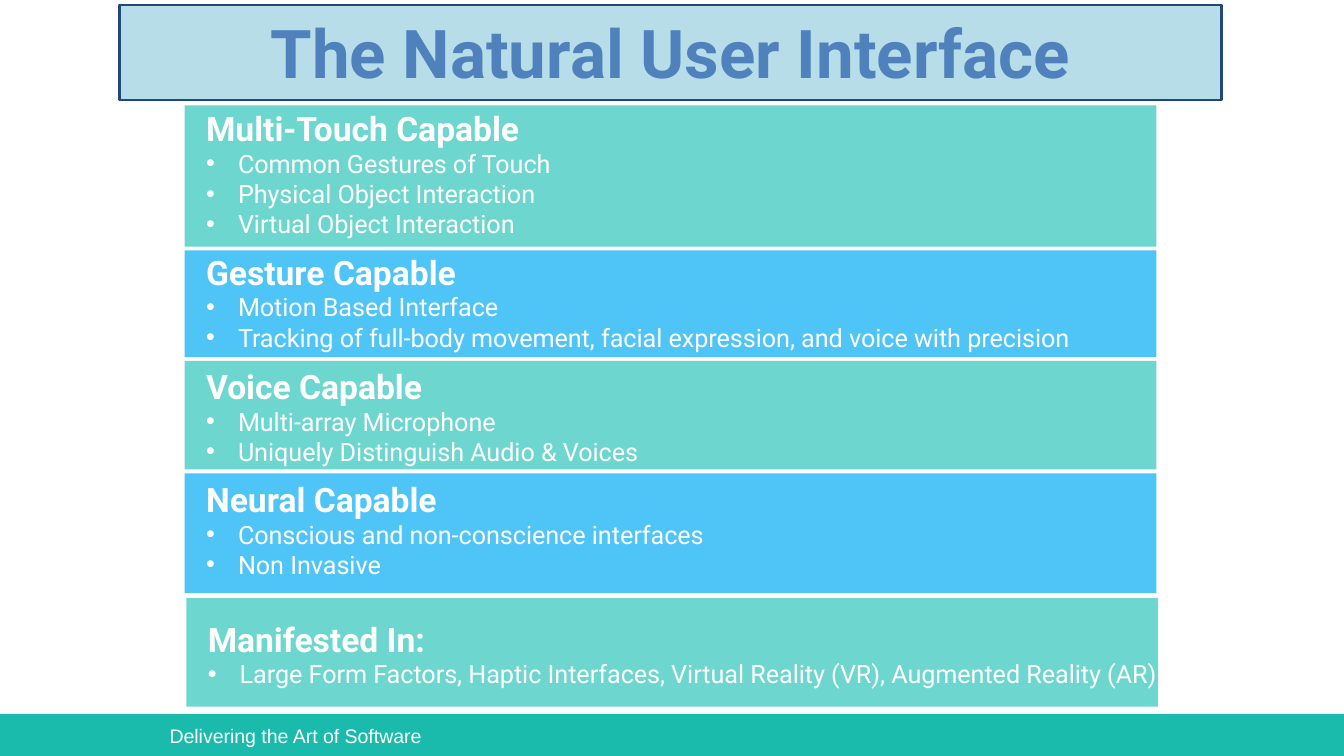
from dataclasses import dataclass
from itertools import cycle

import pptx
import pptx.dml.color
import pptx.enum.shapes
import pptx.enum.text
import pptx.oxml.ns
import pptx.util
from lxml import etree

Pt = pptx.util.Pt
Anchor = pptx.enum.text.MSO_ANCHOR
Align = pptx.enum.text.PP_ALIGN

WHITE, TEAL, SKY, FOOTER_GREEN = "FFFFFF", "6DD7CF", "4FC4F6", "1ABBAD"
INDENT = 17.1


@dataclass
class Capability:
    heading: str
    points: list[str]
    top: float
    height: float
    text_top: float
    text_height: float
    shift: float = 0


def colour(value: str) -> pptx.dml.color.RGBColor:
    return pptx.dml.color.RGBColor.from_string(value)


def add_panel(slide, left: float, top: float, width: float, height: float,
              fill: str, line: str | None = None):
    panel = slide.shapes.add_shape(pptx.enum.shapes.MSO_SHAPE.RECTANGLE,
                                   Pt(left), Pt(top), Pt(width), Pt(height))
    panel.shadow.inherit = False
    panel.fill.solid()
    panel.fill.fore_color.rgb = colour(fill)
    if line:
        panel.line.color.rgb = colour(line)
        panel.line.width = Pt(1.5)
    else:
        panel.line.fill.background()
    return panel


def set_frame(frame, anchor, side: float, end: float) -> None:
    frame.word_wrap = True
    frame.vertical_anchor = anchor
    frame.margin_left = frame.margin_right = Pt(side)
    frame.margin_top = frame.margin_bottom = Pt(end)


def add_bullet(paragraph) -> None:
    properties = paragraph._p.get_or_add_pPr()
    properties.set("marL", str(Pt(INDENT)))
    properties.set("indent", str(-Pt(INDENT)))
    bullet_colour = etree.SubElement(properties, pptx.oxml.ns.qn("a:buClr"))
    etree.SubElement(bullet_colour, pptx.oxml.ns.qn("a:srgbClr"), val=WHITE)
    etree.SubElement(properties, pptx.oxml.ns.qn("a:buFont"), typeface="Arial")
    etree.SubElement(properties, pptx.oxml.ns.qn("a:buChar"), char="•")


def write(paragraph, text: str, *, size: float, font: str = "Roboto",
          color: str = WHITE, bold: bool = False, bullet: bool = False,
          align=Align.LEFT) -> None:
    paragraph.alignment = align
    if bullet:
        add_bullet(paragraph)
    run = paragraph.add_run()
    run.text = text
    run.font.size = Pt(size)
    run.font.name = font
    run.font.bold = bold
    run.font.color.rgb = colour(color)


def add_capability(slide, capability: Capability, fill: str) -> None:
    add_panel(slide, 98.9 + capability.shift, capability.top, 520.6,
              capability.height, fill)
    details = slide.shapes.add_textbox(
        Pt(108.2 + capability.shift), Pt(capability.text_top),
        Pt(517), Pt(capability.text_height)).text_frame
    set_frame(details, Anchor.MIDDLE, 2.2, 2.2)
    write(details.paragraphs[0], capability.heading, size=18, bold=True)
    for point in capability.points:
        write(details.add_paragraph(), point, size=13.5, bullet=True)


CAPABILITIES = [
    Capability("Multi-Touch Capable",
               ["Common Gestures of Touch", "Physical Object Interaction",
                "Virtual Object Interaction"], 56.5, 75.7, 60.5, 64.8),
    Capability("Gesture Capable",
               ["Motion Based Interface",
                "Tracking of full-body movement, facial expression, "
                "and voice with precision"], 134.2, 57, 133.2, 57),
    Capability("Voice Capable",
               ["Multi-array Microphone",
                "Uniquely Distinguish Audio & Voices"],
               193.3, 58.2, 193.7, 58.2),
    Capability("Neural Capable",
               ["Conscious and non-conscience interfaces", "Non Invasive"],
               253.6, 64.1, 251.3, 64.1),
    Capability("Manifested In:",
               ["Large Form Factors, Haptic Interfaces, Virtual Reality (VR), "
                "Augmented Reality (AR)"], 320.4, 58.2, 321.1, 58.2, shift=0.9),
]


def main() -> None:
    deck = pptx.Presentation()
    deck.slide_width, deck.slide_height = Pt(720), Pt(405)
    slide = deck.slides.add_slide(deck.slide_layouts[6])

    # Footer band
    add_panel(slide, 0, 382.5, 720, 22.5, FOOTER_GREEN)
    tagline = add_panel(slide, 88, 385.2, 211.7, 19.4, FOOTER_GREEN).text_frame
    set_frame(tagline, Anchor.TOP, 2.9, 2.9)
    write(tagline.paragraphs[0], "Delivering the Art of Software",
          size=10.5, font="Arial")

    # Capability panels, alternating in colour
    for capability, fill in zip(CAPABILITIES, cycle([TEAL, SKY])):
        add_capability(slide, capability, fill)

    # Title banner
    title = add_panel(slide, 64, 2.7, 590.4, 50.9, "B7DEE8", "1F497D").text_frame
    set_frame(title, Anchor.TOP, 7.2, 3.6)
    write(title.paragraphs[0], "The Natural User Interface", size=36,
          color="4F81BD", bold=True, align=Align.CENTER)

    deck.save("out.pptx")


if __name__ == "__main__":
    main()
